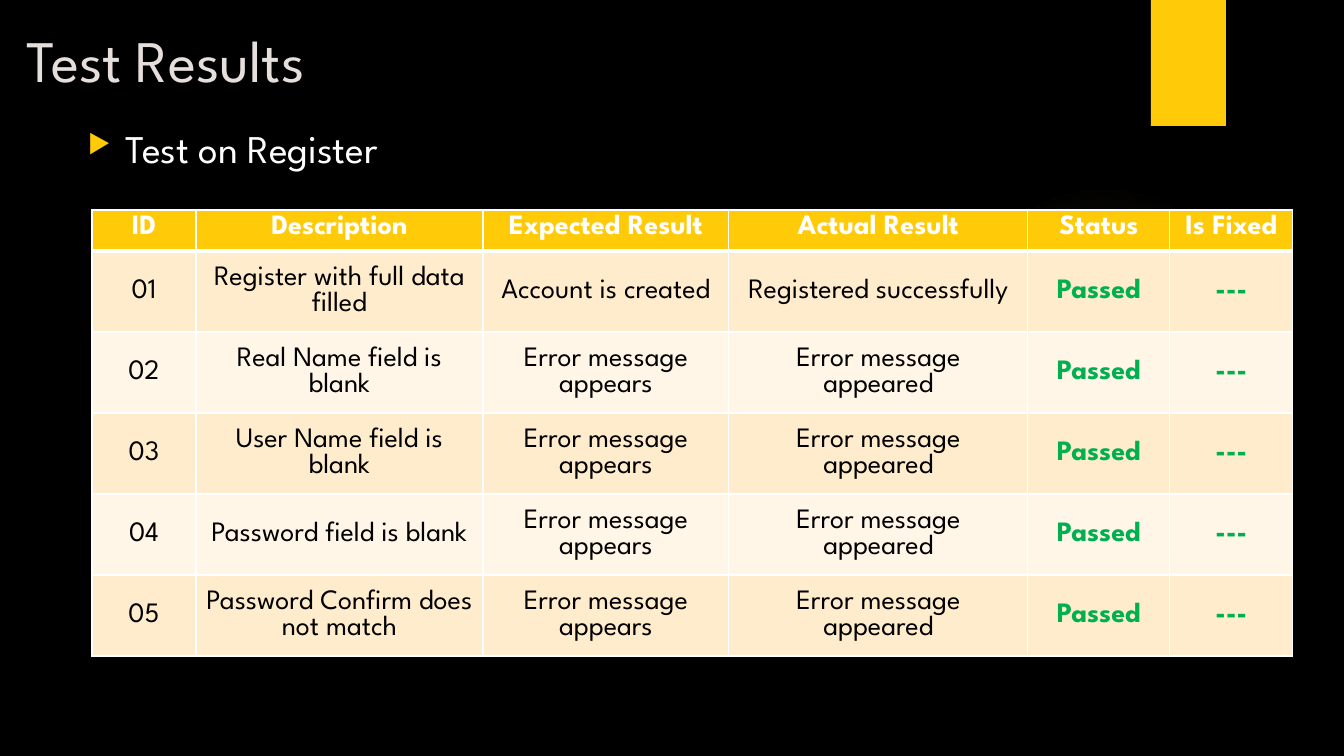
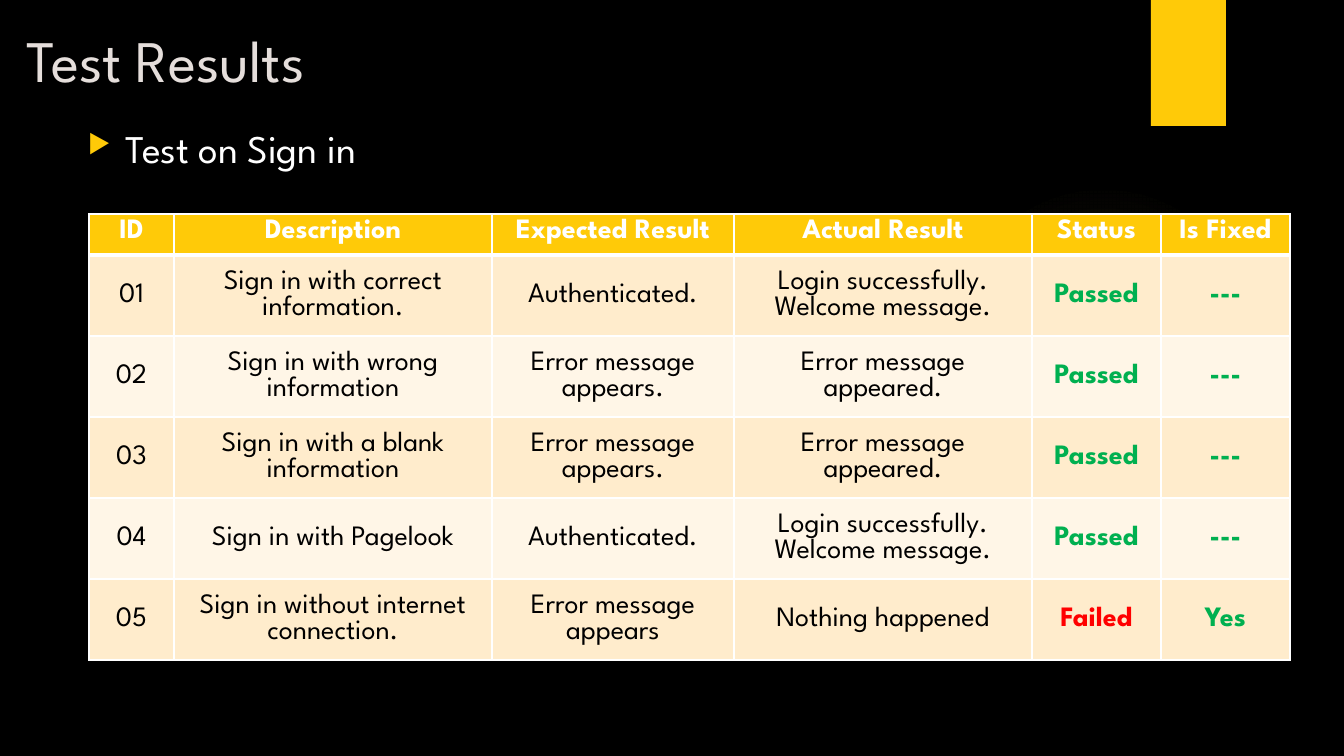
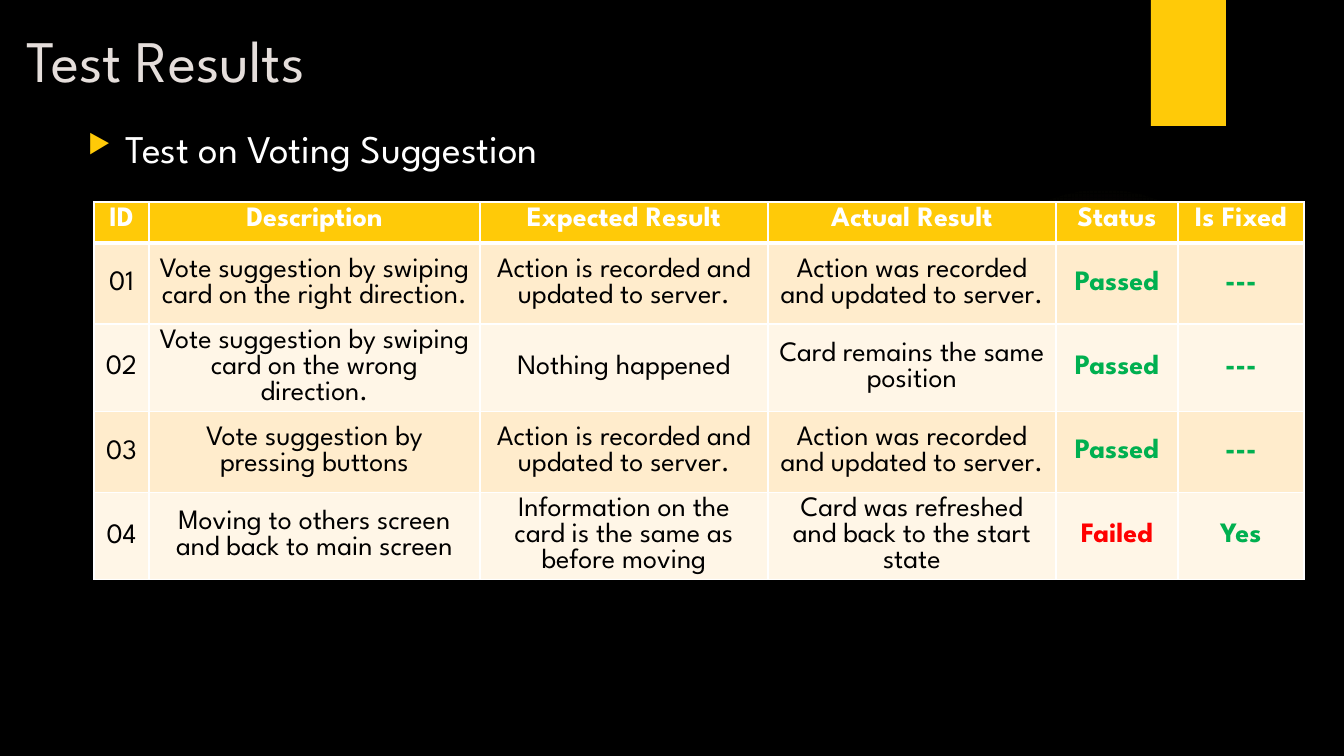
import pptx
import pptx.dml.color
import pptx.enum.shapes
import pptx.enum.text
import pptx.oxml
import pptx.oxml.ns
import pptx.util
from lxml import etree

RGBColor = pptx.dml.color.RGBColor
BLACK = RGBColor(0x00, 0x00, 0x00)
WHITE = RGBColor(0xFF, 0xFF, 0xFF)
TITLE_GREY = RGBColor(0xE5, 0xDE, 0xDB)
AMBER = RGBColor(0xFF, 0xCA, 0x08)
GLOW = RGBColor(0xFF, 0xDF, 0x6B)
ROW_FILLS = (RGBColor(0xFF, 0xEC, 0xCC), RGBColor(0xFF, 0xF6, 0xE7))
GREEN = RGBColor(0x00, 0xB0, 0x50)
RED = RGBColor(0xFF, 0x00, 0x00)

FONT = "League Spartan"
LINE_HEIGHT = 0.92
EMU_PER_PX = 914400 / 100.8
HEADERS = ("ID", "Description", "Expected Result", "Actual Result", "Status", "Is Fixed")
VERDICT_COLORS = {"Passed": GREEN, "Failed": RED, "---": GREEN, "Yes": GREEN}
PASSED = ("Passed", "---")
FIXED = ("Failed", "Yes")
HEADER_HEIGHT, ROW_HEIGHT = 41, 81

REGISTER_ROWS = [
    ("Register with full data filled", "Account is created", "Registered successfully", *PASSED),
    *((case, "Error message appears", "Error message appeared", *PASSED)
      for case in ("Real Name field is blank", "User Name field is blank",
                   "Password field is blank", "Password Confirm does not match")),
]
WELCOME = ("Authenticated.", "Login successfully.\nWelcome message.", *PASSED)
REFUSED = ("Error message appears.", "Error message appeared.", *PASSED)
SIGN_IN_ROWS = [
    ("Sign in with correct information.", *WELCOME),
    ("Sign in with wrong information", *REFUSED),
    ("Sign in with a blank information", *REFUSED),
    ("Sign in with Pagelook", *WELCOME),
    ("Sign in without internet connection.", "Error message appears", "Nothing happened", *FIXED),
]
RECORDED = ("Action is recorded and updated to server.",
            "Action was recorded and updated to server.", *PASSED)
VOTING_ROWS = [
    ("Vote suggestion by swiping card on the right direction.", *RECORDED),
    ("Vote suggestion by swiping card on the wrong direction.", "Nothing happened",
     "Card remains the same position", *PASSED),
    ("Vote suggestion by pressing buttons", *RECORDED),
    ("Moving to others screen and back to main screen",
     "Information on the card is the same as before moving",
     "Card was refreshed and back to the start state", *FIXED),
]

# heading, table left, table top, column widths, rows
TEST_SUITES = [
    ("Test on Register", 92, 210, (104, 287, 246, 299, 142, 123), REGISTER_ROWS),
    ("Test on Sign in", 89, 214, (85, 318, 242, 298, 129, 129), SIGN_IN_ROWS),
    ("Test on Voting Suggestion", 94, 202, (55, 331, 288, 288, 122, 126), VOTING_ROWS),
]


def px(length):
    return pptx.util.Emu(round(length * EMU_PER_PX))


def add_child(parent, tag, **attributes):
    return etree.SubElement(parent, pptx.oxml.ns.qn(tag),
                            {name: str(value) for name, value in attributes.items()})


class ResultDeck:
    def __init__(self):
        self.presentation = pptx.Presentation()
        self.presentation.slide_width = px(1344)
        self.presentation.slide_height = px(756)
        self.slide = None

    def start_slide(self, title, heading):
        self.slide = self.presentation.slides.add_slide(self.presentation.slide_layouts[6])
        background = self.slide.background.fill
        background.solid()
        background.fore_color.rgb = BLACK
        self.glow(948, 184, 310)
        self.band(1151, 0, 75, 126)
        title_frame = self.text(title, 17, 19, 1037, 99, 42, TITLE_GREY)
        title_frame.vertical_anchor = pptx.enum.text.MSO_ANCHOR.MIDDLE
        title_frame.margin_bottom = px(8)
        heading_frame = self.text(heading, 78, 118, 582, 57, 28, WHITE, bullet=True)
        heading_frame.margin_top = px(17)

    def shape(self, kind, left, top, width, height):
        shape = self.slide.shapes.add_shape(kind, px(left), px(top), px(width), px(height))
        shape.shadow.inherit = False
        shape.line.fill.background()
        return shape

    def band(self, left, top, width, height):
        band = self.shape(pptx.enum.shapes.MSO_SHAPE.RECTANGLE, left, top, width, height)
        band.fill.solid()
        band.fill.fore_color.rgb = AMBER

    def glow(self, left, top, size):
        """Faint round light that fades out from its centre."""
        ellipse = self.shape(pptx.enum.shapes.MSO_SHAPE.OVAL, left, top, size, size)
        ellipse.fill.background()
        properties = ellipse._element.spPr
        gradient = etree.Element(pptx.oxml.ns.qn("a:gradFill"), rotWithShape="1")
        stops = add_child(gradient, "a:gsLst")
        for position, opacity in ((0, 7), (36, 6), (69, 0)):
            stop = add_child(stops, "a:gs", pos=position * 1000)
            color = add_child(stop, "a:srgbClr", val=GLOW)
            add_child(color, "a:alpha", val=opacity * 1000)
        center = add_child(gradient, "a:path", path="circle")
        add_child(center, "a:fillToRect", l=50000, t=50000, r=50000, b=50000)
        properties.replace(properties.find(pptx.oxml.ns.qn("a:noFill")), gradient)

    def text(self, text, left, top, width, height, size, color, bullet=False):
        box = self.slide.shapes.add_textbox(px(left), px(top), px(width), px(height))
        frame = box.text_frame
        frame.word_wrap = True
        frame.text = text
        if bullet:
            self.bullet(frame.paragraphs[0])
        self.format_text(frame, size, color)
        return frame

    def bullet(self, paragraph):
        properties = paragraph._p.get_or_add_pPr()
        properties.set("marL", str(px(38)))
        properties.set("indent", str(px(-38)))
        add_child(add_child(properties, "a:buClr"), "a:srgbClr", val=AMBER)
        add_child(properties, "a:buSzPct", val=66000)
        add_child(properties, "a:buChar", char="▶")

    def format_text(self, frame, size, color, bold=False, alignment=None):
        for paragraph in frame.paragraphs:
            paragraph.alignment = alignment
            paragraph.line_spacing = pptx.util.Pt(size * LINE_HEIGHT)
            for run in paragraph.runs:
                run.font.name = FONT
                run.font.size = pptx.util.Pt(size)
                run.font.bold = bold
                run.font.color.rgb = color

    def result_table(self, left, top, widths, rows):
        height = HEADER_HEIGHT + ROW_HEIGHT * len(rows)
        table = self.slide.shapes.add_table(len(rows) + 1, len(widths), px(left), px(top),
                                            px(sum(widths)), px(height)).table
        table.horz_banding = False
        for column, width in zip(table.columns, widths):
            column.width = px(width)
        numbered = [(f"{number:02}", *row) for number, row in enumerate(rows, 1)]
        for row_index, values in enumerate([HEADERS, *numbered]):
            table.rows[row_index].height = px(ROW_HEIGHT if row_index else HEADER_HEIGHT)
            for column_index, value in enumerate(values):
                self.cell(table.cell(row_index, column_index), value, row_index, column_index)

    def cell(self, cell, value, row_index, column_index):
        is_header = row_index == 0
        self.cell_borders(cell, top=3 if row_index == 1 else 1, bottom=3 if is_header else 1)
        cell.fill.solid()
        cell.fill.fore_color.rgb = AMBER if is_header else ROW_FILLS[(row_index - 1) % 2]
        if not is_header:
            cell.vertical_anchor = pptx.enum.text.MSO_ANCHOR.MIDDLE
            if column_index == 0:
                cell.margin_left = cell.margin_right = cell.margin_top = px(1)
                cell.margin_bottom = 0
        cell.text_frame.text = value
        color = WHITE if is_header else VERDICT_COLORS.get(value, BLACK)
        self.format_text(cell.text_frame, 20, color, is_header or value in VERDICT_COLORS,
                         pptx.enum.text.PP_ALIGN.CENTER)

    def cell_borders(self, cell, top, bottom):
        properties = cell._tc.get_or_add_tcPr()
        for side, width in (("L", 1), ("R", 1), ("T", top), ("B", bottom)):
            line = add_child(properties, f"a:ln{side}", w=pptx.util.Pt(width))
            add_child(add_child(line, "a:solidFill"), "a:srgbClr", val=WHITE)


def main():
    deck = ResultDeck()
    for heading, left, top, widths, rows in TEST_SUITES:
        deck.start_slide("Test Results", heading)
        deck.result_table(left, top, widths, rows)
    deck.presentation.save("out.pptx")


if __name__ == "__main__":
    main()
